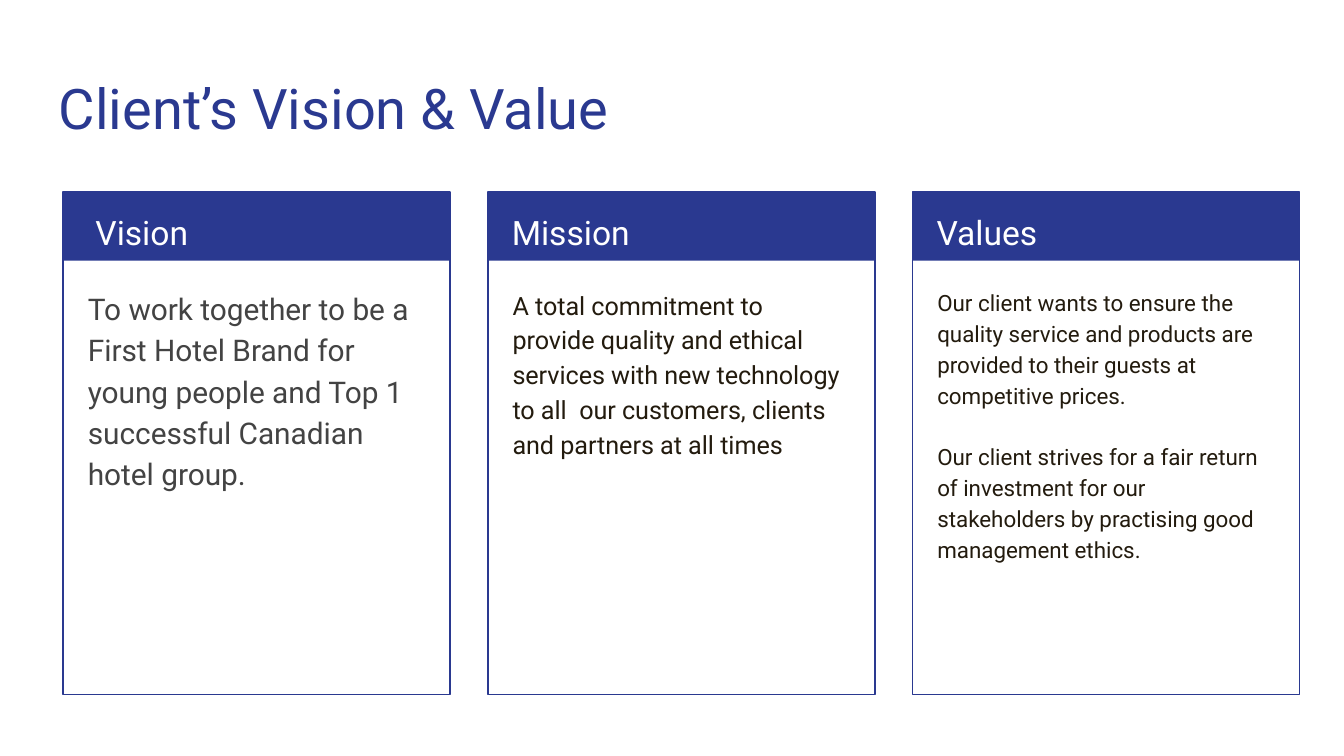
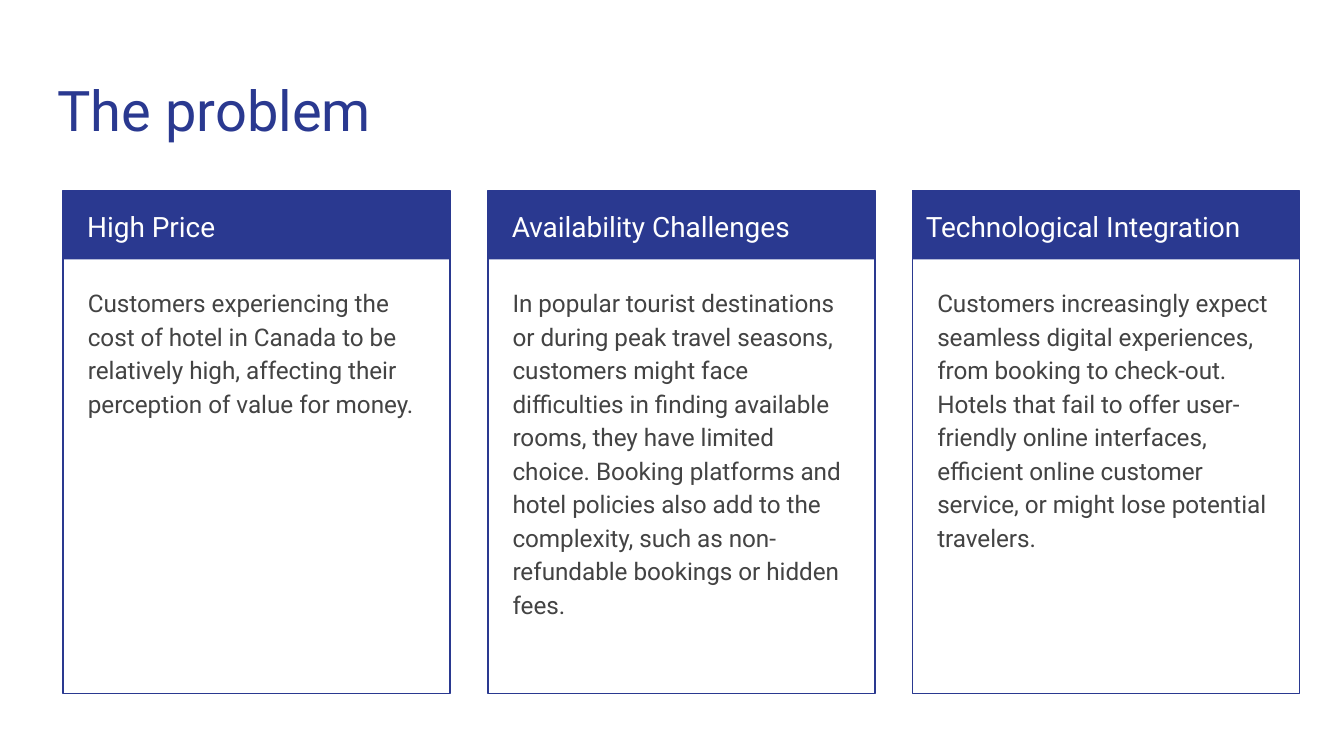
from dataclasses import dataclass

from pptx import Presentation
from pptx.dml.color import RGBColor
from pptx.enum import shapes, text
from pptx.util import Emu, Pt

PX = 4572  # EMU per px: 200 px to the inch


@dataclass(frozen=True)
class Theme:
    font: str = "Roboto"
    navy: str = "2A3990"
    white: str = "FFFFFF"
    grey: str = "434343"
    brown: str = "231B0E"
    title_size: float = 30
    border: float = 0.75
    line_spacing: float = 1.15
    paragraph_gap: float = 16


THEME = Theme()


@dataclass(frozen=True)
class Box:
    left: int
    top: int
    width: int
    height: int

    def emu(self) -> tuple[Emu, ...]:
        return tuple(Emu(n * PX) for n in (self.left, self.top, self.width, self.height))


@dataclass(frozen=True)
class Card:
    heading: str
    paragraphs: tuple[str, ...]
    size: float
    color: str = THEME.grey
    heading_shift: int = 16


@dataclass(frozen=True)
class CardSlide:
    title: str
    title_left: int
    title_top: int
    cards_top: int
    heading_size: float
    cards: tuple[Card, ...]


# Card grid
CARD_LEFT, CARD_PITCH = 94, 632
CARD_WIDTH, CARD_HEIGHT, BAND_HEIGHT = 576, 748, 102

# Content
SLIDES = (
    CardSlide("Client’s Vision & Value", 68, 90, 286, 18, (
        Card(" Vision", (
            "To work together to be a First Hotel Brand for young people and "
            "Top 1 successful Canadian hotel group.",), 16),
        Card("Mission", (
            "A total commitment to provide quality and ethical services with new "
            "technology  to all  our customers, clients and partners at all times",),
            13.5, THEME.brown),
        Card("Values", (
            "Our client wants to ensure the quality service and products are "
            "provided to their guests at competitive prices.",
            "Our client strives for a fair return of investment for our "
            "stakeholders by practising good management ethics."),
            12, THEME.brown),
    )),
    CardSlide("The problem", 66, 92, 284, 15, (
        Card("High Price", (
            "Customers experiencing the cost of hotel in Canada to be relatively "
            "high, affecting their perception of value for money.",), 13),
        Card("Availability Challenges", (
            "In popular tourist destinations or during peak travel seasons, "
            "customers might face difficulties in finding available rooms, they "
            "have limited choice. Booking platforms and hotel policies also add to "
            "the complexity, such as non-refundable bookings or hidden fees.",), 13),
        Card("Technological Integration", (
            "Customers increasingly expect seamless digital experiences, from "
            "booking to check-out. Hotels that fail to offer user-friendly online "
            "interfaces, efficient online customer service, or might lose potential "
            "travelers.",), 13, heading_shift=0),
    )),
)


def add_text(slide, box: Box, *paragraphs: str, size: float, color: str,
             spacing: float = THEME.line_spacing) -> None:
    frame = slide.shapes.add_textbox(*box.emu()).text_frame
    frame.word_wrap = True
    frame.vertical_anchor = text.MSO_ANCHOR.TOP
    frame.margin_left = frame.margin_right = Emu(20 * PX)
    frame.margin_top = frame.margin_bottom = Emu(20 * PX)
    for index, words in enumerate(paragraphs):
        paragraph = frame.add_paragraph() if index else frame.paragraphs[0]
        paragraph.line_spacing = spacing
        if index:
            paragraph.space_before = Pt(THEME.paragraph_gap)
        run = paragraph.add_run()
        run.text = words
        run.font.name = THEME.font
        run.font.size = Pt(size)
        run.font.color.rgb = RGBColor.from_string(color)


def add_rectangle(slide, box: Box, *, fill: str | None = None,
                  line: str | None = None) -> None:
    rectangle = slide.shapes.add_shape(shapes.MSO_SHAPE.RECTANGLE, *box.emu())
    rectangle.shadow.inherit = False
    if fill:
        rectangle.fill.solid()
        rectangle.fill.fore_color.rgb = RGBColor.from_string(fill)
    else:
        rectangle.fill.background()
    if line:
        rectangle.line.color.rgb = RGBColor.from_string(line)
        rectangle.line.width = Pt(THEME.border)
    else:
        rectangle.line.fill.background()


def add_card(slide, card: Card, left: int, top: int, heading_size: float) -> None:
    # Header band and outline
    add_rectangle(slide, Box(left, top, CARD_WIDTH, BAND_HEIGHT), fill=THEME.navy)
    add_rectangle(slide, Box(left, top, CARD_WIDTH, CARD_HEIGHT), line=THEME.navy)
    # Heading and body
    add_text(slide, Box(left + card.heading_shift, top, 546, 100), card.heading,
             size=heading_size, color=THEME.white)
    add_text(slide, Box(left + 17, top + 119, 542, 612), *card.paragraphs,
             size=card.size, color=card.color)


def add_card_slide(deck, content: CardSlide) -> None:
    slide = deck.slides.add_slide(deck.slide_layouts[6])
    add_text(slide, Box(content.title_left, content.title_top, 1864, 132),
             content.title, size=THEME.title_size, color=THEME.navy, spacing=1.0)
    for column, card in enumerate(content.cards):
        add_card(slide, card, CARD_LEFT + column * CARD_PITCH, content.cards_top,
                 content.heading_size)


def main() -> None:
    deck = Presentation()
    deck.slide_width, deck.slide_height = Emu(2000 * PX), Emu(1125 * PX)
    for content in SLIDES:
        add_card_slide(deck, content)
    deck.save("out.pptx")


if __name__ == "__main__":
    main()
